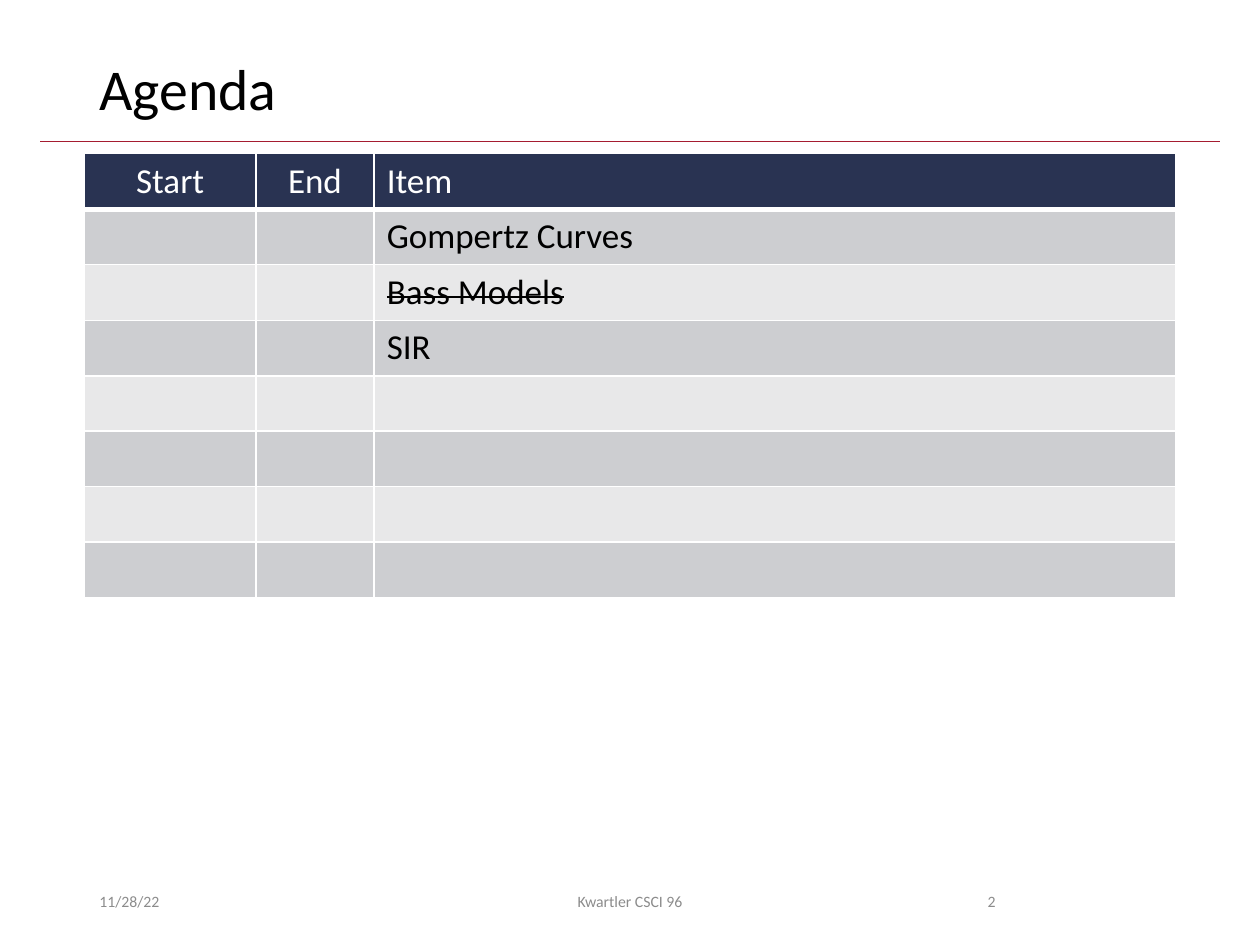
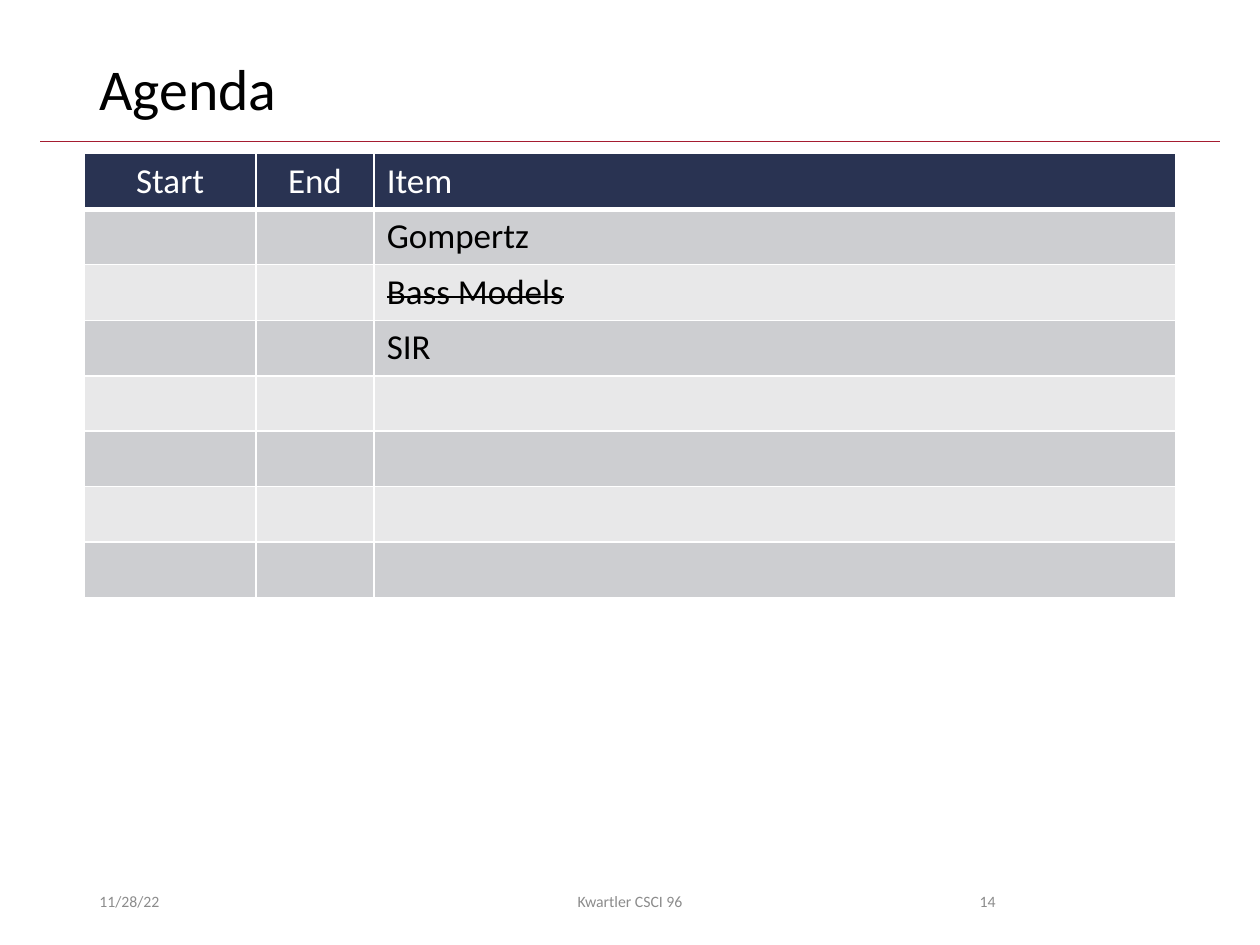
from lxml.etree import SubElement
from pptx import Presentation
from pptx.dml.color import RGBColor
from pptx.enum.shapes import MSO_CONNECTOR
from pptx.enum.text import MSO_ANCHOR, MSO_AUTO_SIZE, PP_ALIGN
from pptx.oxml import parse_xml
from pptx.oxml.ns import nsdecls, qn
from pptx.util import Inches, Pt

WIDE, HIGH = Inches(10), Inches(7.5)
STEP = WIDE // 1000
FONT = "Calibri"
BLACK = RGBColor(0x00, 0x00, 0x00)
WHITE = RGBColor(0xFF, 0xFF, 0xFF)
NAVY = RGBColor(0x29, 0x33, 0x52)
DARK = RGBColor(0xCD, 0xCE, 0xD1)
LIGHT = RGBColor(0xE8, 0xE8, 0xE9)
RED = RGBColor(0xA5, 0x1C, 0x30)
GREY = RGBColor(0x8C, 0x8C, 0x8C)

TITLE_BOX = (69, 40, 862, 65)
TABLE_BOX = (67, 122, 866, 352)
FOOT_BOX = (69, 695, 731, 40)
COLS = (136, 94, 636)
ROWS = 8
HEAD = ("Start", "End", "Item")
STRUCK = {"Bass Models"}
AGENDAS = [
    ("2", ("Gompertz Curves", "Bass Models", "SIR")),
    ("14", ("Gompertz", "Bass Models", "SIR")),
]


def grid(*cells):
    """Turn counts of grid steps into lengths."""
    return [cell * STEP for cell in cells]


def write(frame, text, size, color, align=PP_ALIGN.LEFT, struck=False):
    """Add one run to the first paragraph of a text frame."""
    para = frame.paragraphs[0]
    para.alignment = align
    run = para.add_run()
    run.text = text
    run.font.name = FONT
    run.font.size = Pt(size)
    run.font.color.rgb = color
    if struck:
        run.font._element.set("strike", "sngStrike")
    return para


def add_title(slide, box, text):
    """Place the slide title and the rule below it."""
    left, top, width, height = grid(*box)
    title = slide.shapes.title
    title.left, title.top, title.width, title.height = left, top, width, height
    frame = title.text_frame
    frame.auto_size = MSO_AUTO_SIZE.NONE
    frame.vertical_anchor = MSO_ANCHOR.MIDDLE
    write(frame, text, 33, BLACK).line_spacing = 0.9
    edge, base = grid(32, box[1] + box[3] + 7)
    rule = slide.shapes.add_connector(
        MSO_CONNECTOR.STRAIGHT, edge, base, WIDE - edge, base)
    rule.line.color.rgb = RED
    rule.line.width = Pt(0.5)
    SubElement(rule._element.spPr, qn("a:effectLst"))


def edge_cell(cell, base):
    """Draw white borders round a cell, with the given bottom width."""
    props = cell._tc.get_or_add_tcPr()
    sides = (("lnL", 1), ("lnR", 1), ("lnT", 1), ("lnB", base))
    for spot, (side, width) in enumerate(sides):
        props.insert(spot, parse_xml(
            f'<a:{side} {nsdecls("a")} w="{Pt(width)}"><a:solidFill>'
            f'<a:srgbClr val="{WHITE}"/></a:solidFill></a:{side}>'))


def add_table(slide, box, items):
    """Lay out the agenda with a header and striped rows."""
    table = slide.shapes.add_table(ROWS, len(COLS), *grid(*box)).table
    for col, width in zip(table.columns, grid(*COLS)):
        col.width = width
    body = [("", "", item) for item in items]
    body += [("", "", "")] * (ROWS - 1 - len(items))
    for num, texts in enumerate([HEAD] + body):
        fill = NAVY if num == 0 else DARK if num % 2 else LIGHT
        ink = WHITE if num == 0 else BLACK
        for col, text in enumerate(texts):
            cell = table.cell(num, col)
            cell.fill.solid()
            cell.fill.fore_color.rgb = fill
            edge_cell(cell, 1 if num else 3)
            if text:
                align = PP_ALIGN.CENTER if col < 2 else PP_ALIGN.LEFT
                write(cell.text_frame, text, 20, ink, align, text in STRUCK)


def add_foot(slide, box, page):
    """Place the date, the course and the page number in the foot."""
    left, top, width, height = box
    parts = (
        (0, 225, "11/28/22", PP_ALIGN.LEFT),
        (262, 338, "Kwartler CSCI 96", PP_ALIGN.CENTER),
        (width - 94, 94, page, PP_ALIGN.RIGHT),
    )
    for shift, span, text, align in parts:
        area = grid(left + shift, top, span, height)
        frame = slide.shapes.add_textbox(*area).text_frame
        frame.word_wrap = True
        frame.vertical_anchor = MSO_ANCHOR.MIDDLE
        write(frame, text, 9, GREY, align)


def add_agenda(deck, page, items):
    """Build one agenda slide."""
    slide = deck.slides.add_slide(deck.slide_layouts[5])
    add_title(slide, TITLE_BOX, "Agenda")
    add_table(slide, TABLE_BOX, items)
    add_foot(slide, FOOT_BOX, page)


def main():
    """Build and save the deck."""
    deck = Presentation()
    deck.slide_width, deck.slide_height = WIDE, HIGH
    for page, items in AGENDAS:
        add_agenda(deck, page, items)
    deck.save("out.pptx")


if __name__ == "__main__":
    main()
